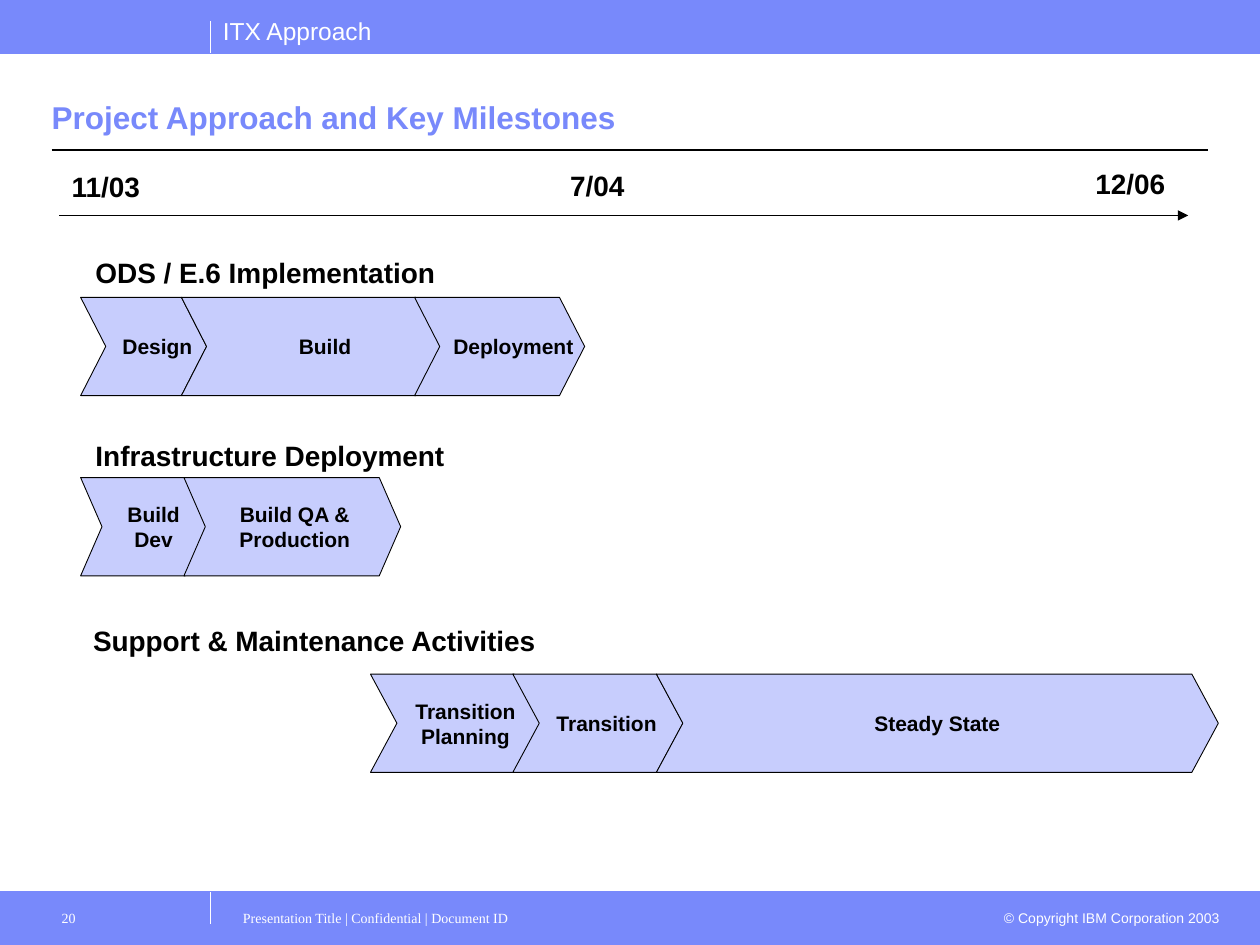
import pptx
import pptx.util
import pptx.dml.color
import pptx.enum.shapes
import pptx.enum.text
import pptx.oxml.ns
import lxml.etree

Inches = pptx.util.Inches
Pt = pptx.util.Pt
RGBColor = pptx.dml.color.RGBColor
SHAPE = pptx.enum.shapes.MSO_SHAPE
ALIGN = pptx.enum.text.PP_ALIGN
ANCHOR = pptx.enum.text.MSO_ANCHOR
qn = pptx.oxml.ns.qn

BLUE = RGBColor(0x78, 0x89, 0xFB)
PALE_BLUE = RGBColor(0xC7, 0xCD, 0xFD)
BLACK = RGBColor(0, 0, 0)
WHITE = RGBColor(0xFF, 0xFF, 0xFF)

deck = pptx.Presentation()
deck.slide_width = Inches(10)
deck.slide_height = Inches(7.5)
page = deck.slides.add_slide(deck.slide_layouts[6])


def add_line(start, end, color, width):
    line = page.shapes.add_connector(
        pptx.enum.shapes.MSO_CONNECTOR.STRAIGHT,
        Inches(start[0]), Inches(start[1]), Inches(end[0]), Inches(end[1]))
    line.line.color.rgb = color
    line.line.width = Pt(width)
    lxml.etree.SubElement(line._element.spPr, qn("a:effectLst"))
    return line


def add_text(text, left, top, width, height, size, color, bold=False,
             font="Arial", align=ALIGN.LEFT, wrap=True):
    box = page.shapes.add_textbox(
        Inches(left), Inches(top), Inches(width), Inches(height))
    box.text_frame.word_wrap = wrap
    para = box.text_frame.paragraphs[0]
    para.text = text
    para.alignment = align
    para.font.name = font
    para.font.size = Pt(size)
    para.font.bold = bold
    para.font.color.rgb = color
    return box


# Header and footer bands with their edge lines
for top, edge in ((7.08, 7.08), (0, 0.42)):
    band = page.shapes.add_shape(
        SHAPE.RECTANGLE, 0, Inches(top), Inches(10), Inches(0.42))
    band.shadow.inherit = False
    band.fill.solid()
    band.fill.fore_color.rgb = BLUE
    band.line.color.rgb = BLUE
    band.line.width = Pt(0.75)
    add_line((0, edge), (10, edge), BLUE, 0.5)

add_line((1.67, 7.33), (1.67, 7.08), WHITE, 0.75)
add_line((1.67, 0.42), (1.67, 0.17), WHITE, 0.75)
add_text("ITX Approach", 1.67, 0.08, 1.43, 0.34, 14, WHITE, wrap=False)

# Footer texts
add_text("© Copyright IBM Corporation 2003", 7.83, 7.17, 1.95, 0.24, 8, WHITE,
         align=ALIGN.RIGHT)
for text, left, width, inset in (
        ("Presentation Title | Confidential | Document ID", 1.83, 6, 0.1),
        ("20", 0.33, 1.33, 0.16)):
    footer = add_text(text, left, 7.15, width, 0.35, 8, WHITE,
                      font="Times New Roman")
    footer.text_frame.margin_left = Inches(inset)
    footer.text_frame.margin_top = Inches(0.07)

# Title and its rule
title = add_text("Project Approach and Key Milestones",
                 0.41, 0.52, 9.18, 0.61, 18, BLUE, bold=True)
title.text_frame.margin_left = title.text_frame.margin_right = 0
title.text_frame.vertical_anchor = ANCHOR.BOTTOM
add_line((0.41, 1.19), (9.59, 1.19), BLACK, 0.75)

# Timeline arrow and dates, each date centred in a box with room to spare
timeline = add_line((0.47, 1.71), (9.43, 1.71), BLACK, 0.5)
lxml.etree.SubElement(timeline.line._get_or_add_ln(), qn("a:tailEnd"),
                      type="triangle")
for date, left, top in (
        ("11/03", 0.39, 1.3),
        ("7/04", 4.29, 1.29),
        ("12/06", 8.52, 1.27)):
    add_text(date, left, top, 0.9, 0.37, 16, BLACK, bold=True,
             align=ALIGN.CENTER, wrap=False)

# Work streams: heading, its place, chevron top, point depth,
# then phases as label, left, width, shift of the label to the right
STREAM_HEIGHT = 0.78
streams = (
    ("ODS / E.6 Implementation", 0.66, 1.98, 2.36, 0.2, (
        ("Design", 0.64, 1, 0.11),
        ("Build", 1.44, 2.06, 0.11),
        ("Deployment", 3.29, 1.35, 0.11))),
    ("Infrastructure Deployment", 0.66, 3.43, 3.79, 0.17, (
        ("Build\nDev", 0.64, 1, 0.08),
        ("Build QA &\nProduction", 1.46, 1.72, 0.02))),
    ("Support & Maintenance Activities", 0.64, 4.9, 5.35, 0.21, (
        ("Transition\nPlanning", 2.94, 1.35, 0.08),
        ("Transition", 4.07, 1.35, 0.07),
        ("Steady State", 5.21, 4.46, 0))),
)
for heading, heading_left, heading_top, top, depth, phases in streams:
    add_text(heading, heading_left, heading_top, 4.1, 0.37, 16, BLACK, bold=True)
    for label, left, width, shift in phases:
        phase = page.shapes.add_shape(
            SHAPE.CHEVRON, Inches(left), Inches(top),
            Inches(width), Inches(STREAM_HEIGHT))
        phase.adjustments[0] = depth / STREAM_HEIGHT
        phase.shadow.inherit = False
        phase.fill.solid()
        phase.fill.fore_color.rgb = PALE_BLUE
        phase.line.color.rgb = BLACK
        phase.line.width = Pt(0.5)
        frame = phase.text_frame
        frame.text = label
        frame.word_wrap = False
        frame.vertical_anchor = ANCHOR.MIDDLE
        frame.margin_left = Inches(2 * shift)
        frame.margin_right = 0
        for para in frame.paragraphs:
            para.alignment = ALIGN.CENTER
            para.font.name = "Arial"
            para.font.size = Pt(12)
            para.font.bold = True
            para.font.color.rgb = BLACK

deck.save("out.pptx")
